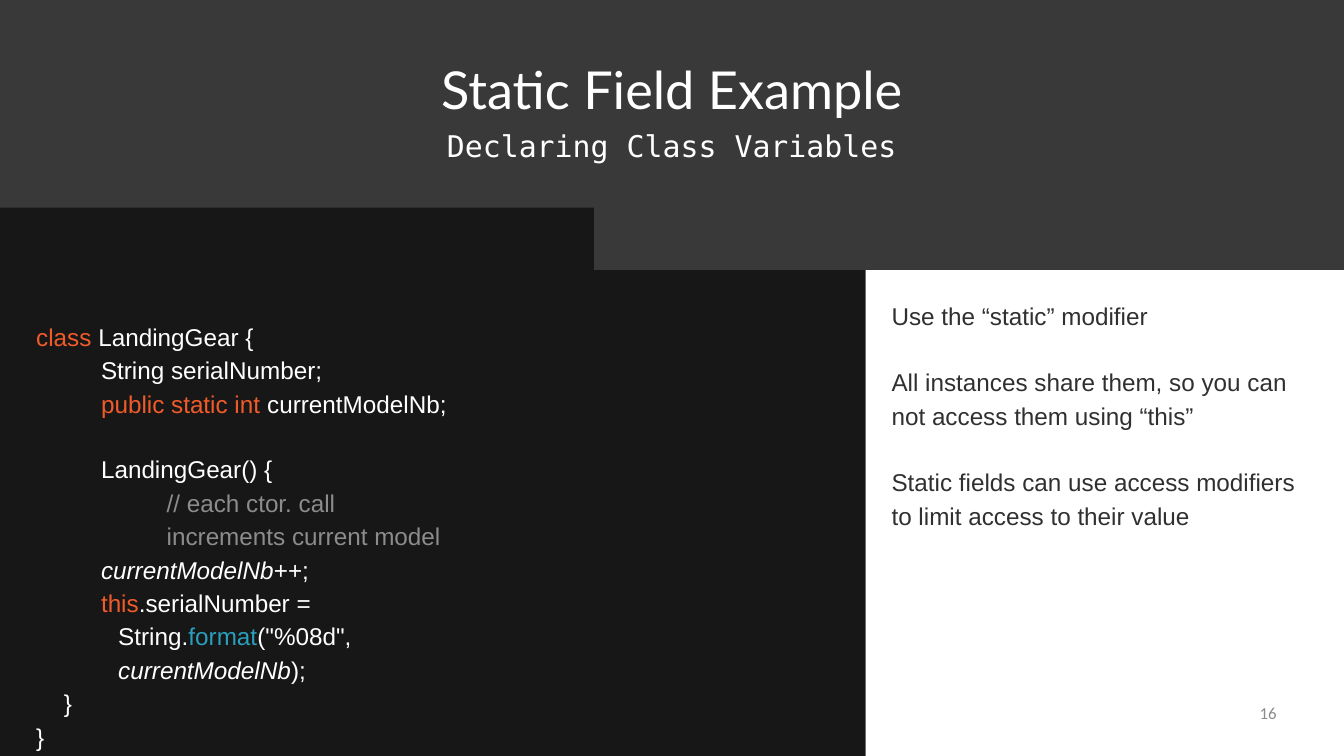
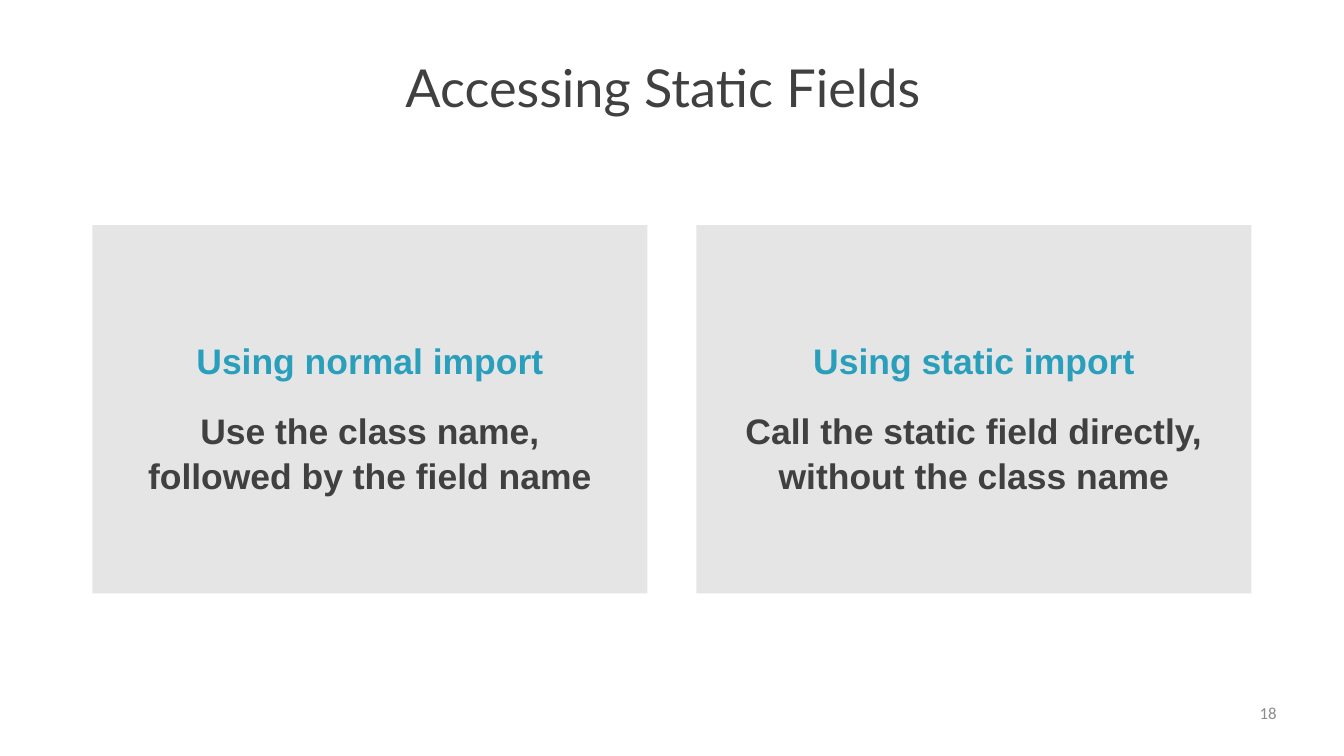
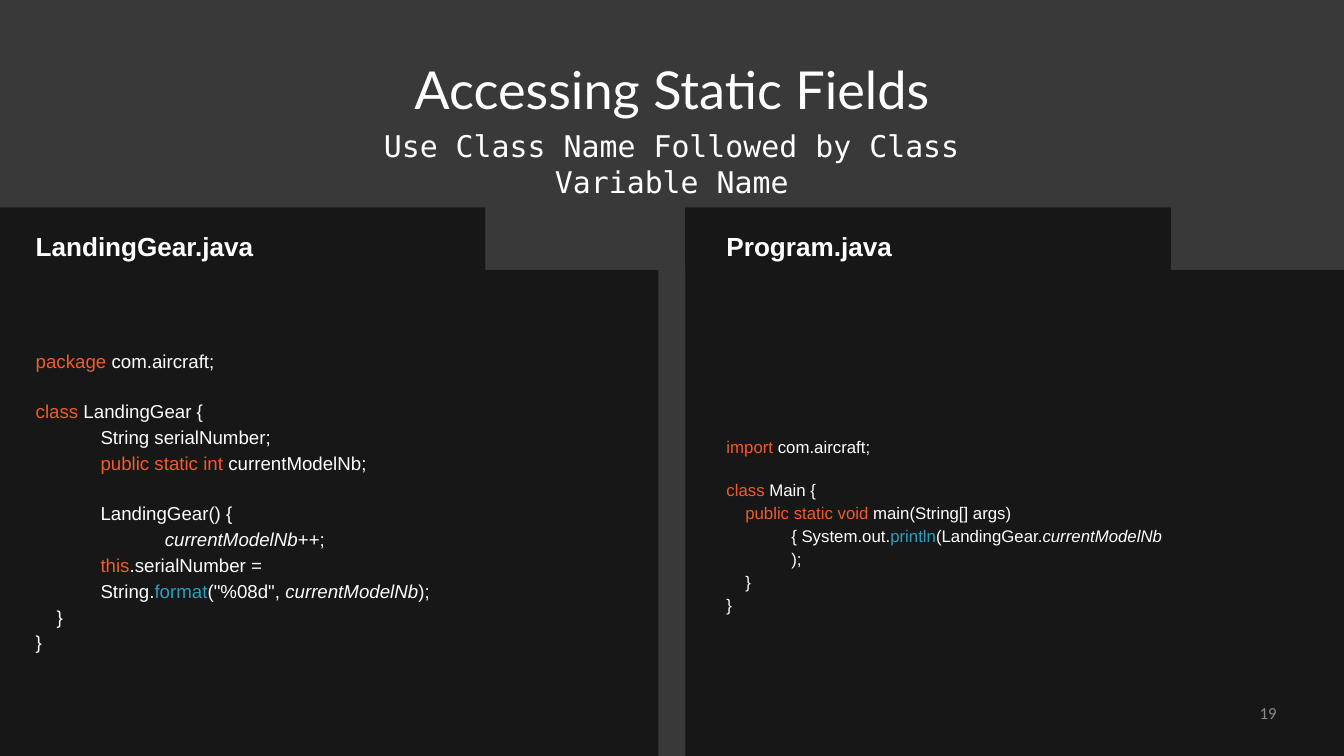
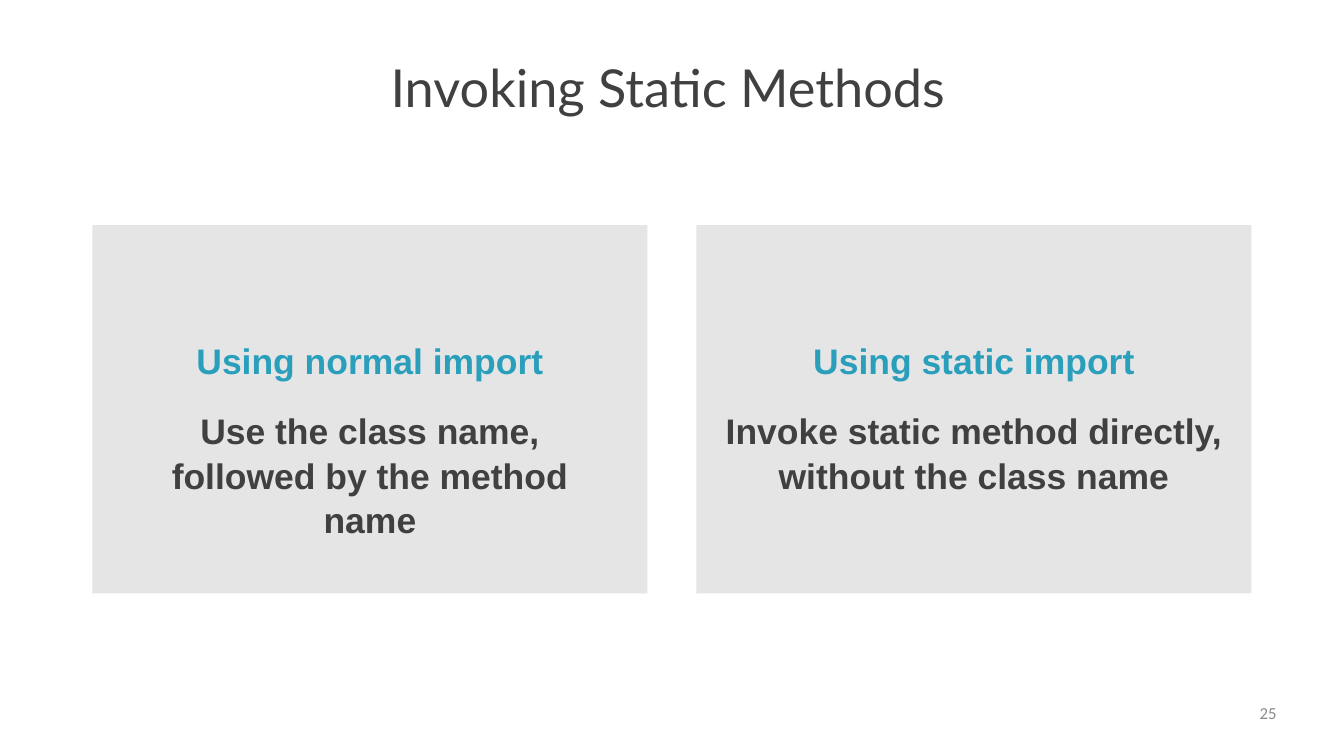
"""Builds four slides on static fields and methods."""
from dataclasses import dataclass

from pptx import Presentation
from pptx import util as u
from pptx.dml.color import RGBColor
from pptx.enum import shapes, text


@dataclass(frozen=True)
class Theme:
    """Colours, fonts, type sizes and shared measures in centimetres."""
    band: str = "393939"
    panel: str = "171717"
    card: str = "E5E5E5"
    white: str = "FFFFFF"
    ink: str = "404040"
    note: str = "303030"
    grey: str = "8C8C8C"
    orange: str = "F15B2A"
    teal: str = "2A9FBC"
    title_font: str = "Lato"
    mono_font: str = "DejaVu Sans Mono"
    body_font: str = "Arial"
    page_font: str = "Calibri"
    title_size: int = 56
    subtitle_size: int = 32
    card_size: int = 38
    file_size: int = 28
    code_size: int = 26
    small_code_size: int = 20
    tiny_code_size: int = 18
    page_size: int = 18
    width: float = 50.8
    height: float = 50.8 * 9 / 16
    panel_top: float = 7.85
    tab_height: float = 2.36


T = Theme()
TOKENS = {"plain": T.white, "key": T.orange, "call": T.teal, "note": T.grey, "var": T.white}
ARIAL_LINE = 1.15

GEAR_CLASS = [
    (0, False, [("class ", "key"), ("LandingGear {", "plain")]),
    (2.45, False, [("String serialNumber;", "plain")]),
    (2.45, False, [("public static int ", "key"), ("currentModelNb;", "plain")]),
    (2.45, True, [("LandingGear() {", "plain")]),
]
COUNT_UP = [("currentModelNb", "var"), ("++;", "plain")]
SET_SERIAL = (2.45, False, [("this", "key"), (".serialNumber =", "plain")])
FORMAT = [("String.", "plain"), ("format", "call"), ("(\"%08d\", ", "plain")]
MODEL_ARG = [("currentModelNb", "var"), (");", "plain")]
CLOSE = [("}", "plain")]
END_CLASS = (0, False, CLOSE)

FIELD_CODE = GEAR_CLASS + [
    (4.93, False, [("// each ctor. call", "note")]),
    (4.93, False, [("increments current model", "note")]),
    (2.45, False, COUNT_UP),
    SET_SERIAL,
    (3.1, False, FORMAT),
    (3.1, False, MODEL_ARG),
    (1.05, False, CLOSE),
    END_CLASS,
]
GEAR_CODE = [
    (0, False, [("package ", "key"), ("com.aircraft;", "plain")]),
    (0, True, GEAR_CLASS[0][2]),
    *GEAR_CLASS[1:],
    (4.88, False, COUNT_UP),
    SET_SERIAL,
    (2.45, False, FORMAT + MODEL_ARG),
    (0.79, False, CLOSE),
    END_CLASS,
]
IMPORT_CODE = [(0, False, [("import ", "key"), ("com.aircraft;", "plain")])]
MAIN_CODE = [
    (0, False, [("class ", "key"), ("Main {", "plain")]),
    (0.71, False, [("public static void ", "key"), ("main(String[] args)", "plain")]),
    (2.45, False, [("{ System.out.", "plain"), ("println", "call"),
                   ("(LandingGear.", "plain"), ("currentModelNb", "var")]),
    (2.45, False, [(");", "plain")]),
    (0.71, False, CLOSE),
    END_CLASS,
]
NOTES = [
    "Use the “static” modifier",
    "All instances share them, so you can not access them using “this”",
    "Static fields can use access modifiers to limit access to their value",
]


def lengths(box):
    """Turn a box in centimetres into lengths."""
    return [u.Cm(v) for v in box]


def paint(sp, color):
    """Give a shape a flat fill without line or shadow."""
    sp.shadow.inherit = False
    sp.fill.solid()
    sp.fill.fore_color.rgb = RGBColor.from_string(color)
    sp.line.fill.background()


def setup_frame(sp, left=0, top=0, right=0):
    """Set insets, wrapping and top anchoring, and return the text frame."""
    tf = sp.text_frame
    tf.word_wrap = True
    tf.auto_size = text.MSO_AUTO_SIZE.NONE
    tf.vertical_anchor = text.MSO_ANCHOR.TOP
    tf.margin_left, tf.margin_top, tf.margin_right = lengths((left, top, right))
    tf.margin_bottom = 0
    return tf


def add_paragraph(tf, first, align=text.PP_ALIGN.LEFT, before=0, spacing=None):
    """Return the first or a new paragraph with its spacing set."""
    p = tf.paragraphs[0] if first else tf.add_paragraph()
    p.alignment = align
    p.space_before = u.Pt(0 if first else before)
    if spacing:
        p.line_spacing = spacing
    return p


def add_run(p, words, size, color, font=T.body_font, bold=False, italic=False):
    """Append one formatted run."""
    r = p.add_run()
    r.text = words
    r.font.name, r.font.size = font, u.Pt(size)
    r.font.bold, r.font.italic = bold, italic
    r.font.color.rgb = RGBColor.from_string(color)


def add_rectangle(s, box, color):
    """Add a flat rectangle."""
    sp = s.shapes.add_shape(shapes.MSO_SHAPE.RECTANGLE, *lengths(box))
    paint(sp, color)
    return sp


def set_title(s, box, title, color, align, subtitle=None, inset=0):
    """Place the title placeholder, with an optional code-style subtitle."""
    sp = s.shapes.title
    sp.left, sp.top, sp.width, sp.height = lengths(box)
    tf = setup_frame(sp, top=inset)
    add_run(add_paragraph(tf, True, align), title, T.title_size, color, T.title_font)
    if subtitle:
        p = add_paragraph(tf, False, align, before=8)
        add_run(p, subtitle, T.subtitle_size, color, T.mono_font)


def add_page_number(s, number):
    """Add the page number at the lower right."""
    sp = s.shapes.add_textbox(*lengths((36.58, 26.57, 11.68, 1.42)))
    p = add_paragraph(setup_frame(sp), True, text.PP_ALIGN.RIGHT)
    add_run(p, str(number), T.page_size, T.grey, T.page_font)


def add_code(s, box, lines, size):
    """Add a code listing whose lines are (indent, blank line above, runs)."""
    tf = setup_frame(s.shapes.add_textbox(*lengths(box)))
    for i, (indent, blank, runs) in enumerate(lines):
        before = round(size * ARIAL_LINE * 1.15, 1) if blank else 0
        p = add_paragraph(tf, i == 0, before=before, spacing=1.15)
        p._p.get_or_add_pPr().set("marL", str(u.Cm(indent)))
        for words, token in runs:
            add_run(p, words, size, TOKENS[token], italic=token == "var")


def add_code_panel(s, left, width, tab_width, pad, blocks, file_name=None):
    """Add a tabbed panel with code blocks (offset, width, height, lines, size)."""
    top = T.panel_top
    shoulder = top + T.tab_height
    right, tab_right = left + width, left + tab_width
    outline = [(tab_right, top), (tab_right, shoulder), (right, shoulder),
               (right, T.height), (left, T.height)]
    builder = s.shapes.build_freeform(u.Cm(left), u.Cm(top))
    builder.add_line_segments([(u.Cm(x), u.Cm(y)) for x, y in outline], close=True)
    paint(builder.convert_to_shape(), T.panel)
    if file_name:
        sp = add_rectangle(s, (left, top, tab_width, T.tab_height), T.panel)
        p = add_paragraph(setup_frame(sp, left=pad, top=0.84), True)
        add_run(p, file_name, T.file_size, T.white, bold=True)
    for offset, block_width, height, lines, size in blocks:
        add_code(s, (left + pad, top + offset, block_width, height), lines, size)


def add_notes_panel(s, box):
    """Add the white panel with spaced remarks."""
    left, top, width, height = box
    add_rectangle(s, box, T.white)
    sp = s.shapes.add_textbox(*lengths((left + 0.98, top + 0.98, 15.8, 8.46)))
    tf = setup_frame(sp)
    for i, words in enumerate(NOTES):
        p = add_paragraph(tf, i == 0, before=34.5, spacing=1.17)
        add_run(p, words, T.code_size, T.note)


def add_card(s, box, pad, heading, body):
    """Add a grey card with a centred heading and sentence."""
    tf = setup_frame(add_rectangle(s, box, T.card), left=pad, top=4.23, right=pad)
    for i, (words, color) in enumerate([(heading, T.teal), (body, T.ink)]):
        p = add_paragraph(tf, i == 0, text.PP_ALIGN.CENTER, before=27, spacing=1.05)
        add_run(p, words, T.card_size, color, bold=True)


def new_slide(prs):
    """Add a title-only slide."""
    return prs.slides.add_slide(prs.slide_layouts[5])


def dark_slide(prs, title, subtitle):
    """Add a dark slide with a centred title and subtitle."""
    s = new_slide(prs)
    s.background.fill.solid()
    s.background.fill.fore_color.rgb = RGBColor.from_string(T.band)
    set_title(s, (12.57, 1.63, 25.65, 4.57), title, T.white,
              text.PP_ALIGN.CENTER, subtitle, 0.53)
    return s


def cards_slide(prs, title, title_left, bodies, number):
    """Add a light slide that compares the two kinds of import."""
    s = new_slide(prs)
    box = (title_left, 2.08, T.width - 2 * title_left, 2.44)
    set_title(s, box, title, T.ink, text.PP_ALIGN.LEFT)
    width, gap = 20.98, 1.85
    left = (T.width - 2 * width - gap) / 2
    headings = ("Using normal import", "Using static import")
    for i, (heading, body, pad) in enumerate(zip(headings, bodies, (1.65, 0.75))):
        add_card(s, (left + i * (width + gap), 8.51, width, 13.92), pad, heading, body)
    add_page_number(s, number)


def field_slide(prs):
    """Add the slide that declares a class variable."""
    s = dark_slide(prs, "Static Field Example", "Declaring Class Variables")
    width = 32.72
    add_code_panel(s, 0, width, 22.45, 1.37,
                   [(4.15, 27.03, 13.54, FIELD_CODE, T.code_size)])
    top = T.panel_top + T.tab_height
    add_notes_panel(s, (width, top, T.width - width, T.height - top))
    add_page_number(s, 16)


def access_slide(prs):
    """Add the slide with two source files side by side."""
    s = dark_slide(prs, "Accessing Static Fields",
                   "Use Class Name Followed by Class Variable Name")
    width, tab_width = 24.89, 18.34
    add_code_panel(s, 0, width, tab_width, 1.35,
                   [(5.25, 16, 11.15, GEAR_CODE, T.small_code_size)],
                   "LandingGear.java")
    add_code_panel(s, T.width - width, width, tab_width, 1.55,
                   [(8.53, 5.46, 0.84, IMPORT_CODE, T.tiny_code_size),
                    (10.15, 17.5, 4.27, MAIN_CODE, T.tiny_code_size)],
                   "Program.java")
    add_page_number(s, 19)


def main():
    """Build and save the presentation."""
    prs = Presentation()
    prs.slide_width, prs.slide_height = lengths((T.width, T.height))
    field_slide(prs)
    cards_slide(prs, "Accessing Static Fields", 15.32,
                ("Use the class name, followed by the field name",
                 "Call the static field directly, without the class name"), 18)
    access_slide(prs)
    cards_slide(prs, "Invoking Static Methods", 14.76,
                ("Use the class name, followed by the method name",
                 "Invoke static method directly, without the class name"), 25)
    prs.save("out.pptx")


if __name__ == "__main__":
    main()
